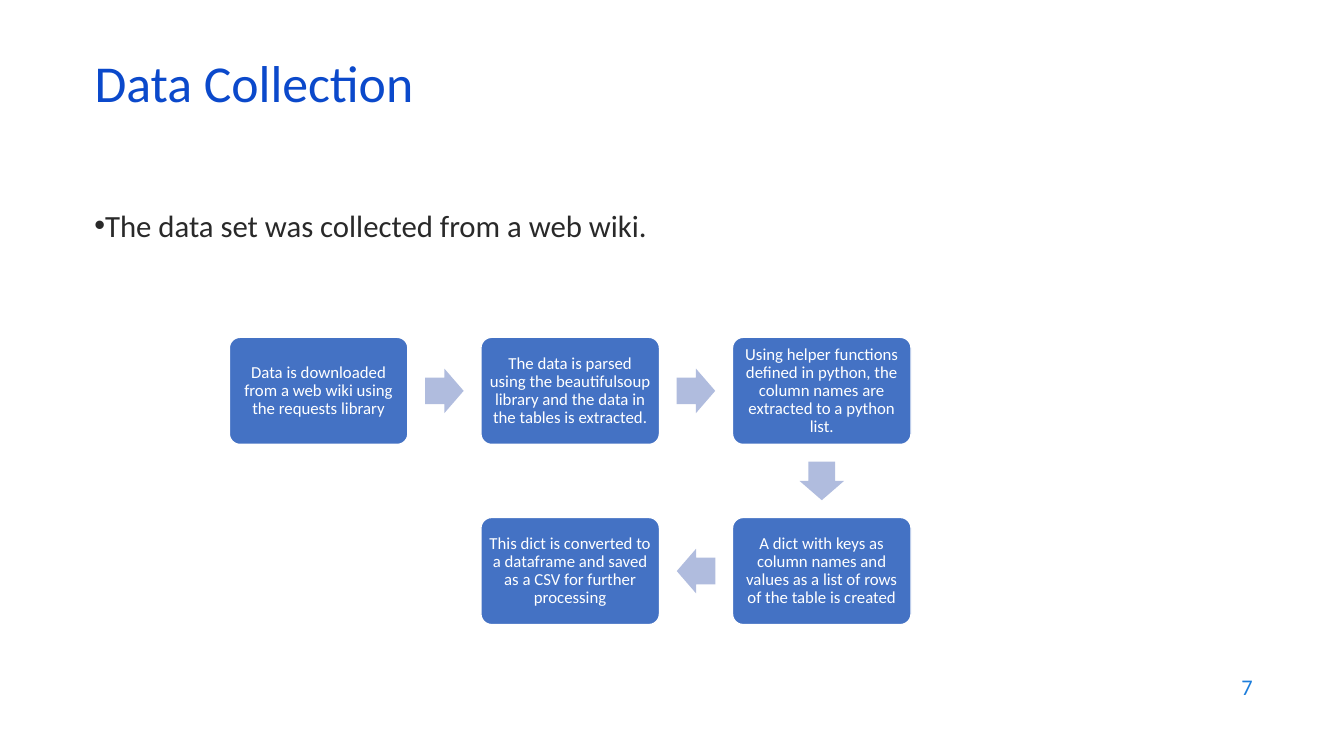
from pptx import Presentation, util as u
from pptx.dml.color import RGBColor
from pptx.enum import shapes, text
from lxml import etree

Cm, Pt = u.Cm, u.Pt
COLORS = {"title": "0B49CB", "body": "292929", "page": "1C7DDB",
          "box": "4472C4", "arrow": "B0BCDE", "white": "FFFFFF"}


def style(par, size, color, align=text.PP_ALIGN.LEFT):
    par.alignment = align
    for run in par.runs:
        run.font.size = Pt(size)
        run.font.name = "Calibri"
        run.font.color.rgb = RGBColor.from_string(COLORS[color])


def add_solid(kind, left, top, width, height, color):
    shape = slide.shapes.add_shape(kind, Cm(left), Cm(top), Cm(width), Cm(height))
    shape.shadow.inherit = False
    shape.fill.solid()
    shape.fill.fore_color.rgb = RGBColor.from_string(COLORS[color])
    return shape


deck = Presentation()
deck.slide_width, deck.slide_height = Cm(33.87), Cm(19.05)
slide = deck.slides.add_slide(deck.slide_layouts[5])

# Title
title = slide.shapes.title
title.left, title.top, title.width, title.height = Cm(2.13), Cm(1.5), Cm(29.2), Cm(1.52)
frame = title.text_frame
frame.text = "Data Collection"
frame.auto_size = text.MSO_AUTO_SIZE.NONE
frame.vertical_anchor = text.MSO_ANCHOR.MIDDLE
frame.paragraphs[0].line_spacing = 0.7
style(frame.paragraphs[0], 37, "title")

# Bullet line
body = slide.shapes.add_textbox(Cm(2.13), Cm(5.08), Cm(29.2), Cm(1.45))
frame = body.text_frame
frame.word_wrap = True
frame.text = "The data set was collected from a web wiki."
par = frame.paragraphs[0]
props = par._p.get_or_add_pPr()
props.set("marL", "0")
props.set("indent", "0")
space = "{http://schemas.openxmlformats.org/drawingml/2006/main}"
etree.SubElement(props, space + "buFont", typeface="Arial")
etree.SubElement(props, space + "buChar", char="•")
style(par, 22, "body")

# Flow boxes: column, row, wording
steps = [
    (0, 0, "Data is downloaded from a web wiki using the requests library"),
    (1, 0, "The data is parsed using the beautifulsoup library and the data in "
           "the tables is extracted."),
    (2, 0, "Using helper functions defined in python, the column names are "
           "extracted to a python list."),
    (2, 1, "A dict with keys as column names and values as a list of rows of "
           "the table is created"),
    (1, 1, "This dict is converted to a dataframe and saved as a CSV for "
           "further processing"),
]
box_w, box_h = 4.5, 2.7
mids = []
for col, row, words in steps:
    left, top = 5.78 + 6.34 * col, 8.5 + 4.54 * row
    mids.append((left + box_w / 2, top + box_h / 2))
    box = add_solid(shapes.MSO_SHAPE.ROUNDED_RECTANGLE, left, top, box_w, box_h, "box")
    box.adjustments[0] = 0.1
    box.line.color.rgb = RGBColor.from_string(COLORS["white"])
    box.line.width = Pt(1)
    frame = box.text_frame
    frame.word_wrap = True
    frame.vertical_anchor = text.MSO_ANCHOR.MIDDLE
    frame.margin_left = frame.margin_right = Cm(0.12)
    frame.margin_top = frame.margin_bottom = Cm(0.12)
    frame.text = words
    frame.paragraphs[0].line_spacing = 0.9
    style(frame.paragraphs[0], 12, "white", text.PP_ALIGN.CENTER)

# Arrows halfway between neighbouring boxes
arrow_w, arrow_h = 0.97, 1.12
for (x1, y1), (x2, y2), turn in zip(mids, mids[1:], (0, 0, 90, 180)):
    arrow = add_solid(shapes.MSO_SHAPE.RIGHT_ARROW, (x1 + x2 - arrow_w) / 2,
                      (y1 + y2 - arrow_h) / 2, arrow_w, arrow_h, "arrow")
    arrow.adjustments[0] = 0.6
    arrow.adjustments[1] = 0.5
    arrow.line.fill.background()
    arrow.rotation = turn

# Page number
page = slide.shapes.add_textbox(Cm(24.2), Cm(16.74), Cm(7.62), Cm(1.12))
frame = page.text_frame
frame.word_wrap = True
frame.vertical_anchor = text.MSO_ANCHOR.MIDDLE
frame.text = "7"
style(frame.paragraphs[0], 16, "page", text.PP_ALIGN.RIGHT)

deck.save("out.pptx")
